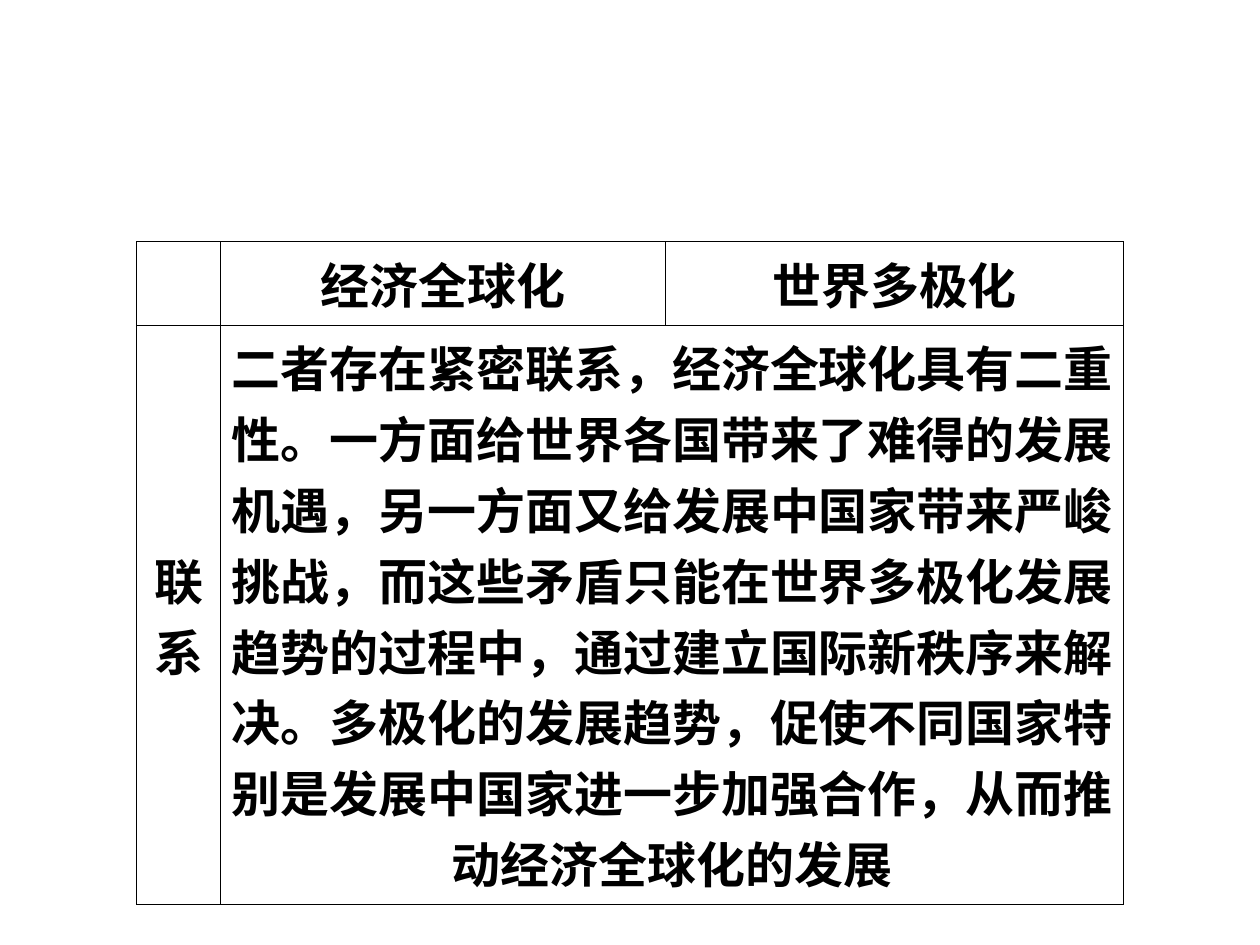
from lxml.etree import SubElement
from pptx import Presentation
from pptx.dml.color import RGBColor
from pptx.enum.text import MSO_ANCHOR, PP_ALIGN
from pptx.oxml.ns import qn
from pptx.util import Pt

FONT = "Noto Sans CJK SC"
BLACK, WHITE = "000000", "FFFFFF"
COLUMN_WIDTHS = [48, 254.2, 262]
ROW_HEIGHTS = [34, 269]
CONTENT = [
    ["", "经济全球化", "世界多极化"],
    ["联系",
     "二者存在紧密联系，经济全球化具有二重性。一方面给世界各国带来了难得的发展机遇，"
     "另一方面又给发展中国家带来严峻挑战，而这些矛盾只能在世界多极化发展趋势的过程中，"
     "通过建立国际新秩序来解决。多极化的发展趋势，促使不同国家特别是发展中国家进一步加强合作，"
     "从而推动经济全球化的发展",
     ""],
]
CELL_FORMAT = {
    "vertical_anchor": MSO_ANCHOR.MIDDLE,
    "margin_left": Pt(5.7), "margin_right": Pt(5.7),
    "margin_top": Pt(3.6), "margin_bottom": Pt(3.6),
}
FONT_FORMAT = {"name": FONT, "size": Pt(28), "bold": True}


def rgb(color):
    return RGBColor.from_string(color)


def add_borders(cell, color, width):
    """Draw all four sides; call before the cell gets its fill."""
    properties = cell._tc.get_or_add_tcPr()
    for side in ("a:lnL", "a:lnR", "a:lnT", "a:lnB"):
        line = SubElement(properties, qn(side), w=str(Pt(width)))
        fill = SubElement(line, qn("a:solidFill"))
        SubElement(fill, qn("a:srgbClr"), val=color)


prs = Presentation()
prs.slide_width, prs.slide_height = Pt(720), Pt(540)
slide = prs.slides.add_slide(prs.slide_layouts[6])

comparison = slide.shapes.add_table(
    len(ROW_HEIGHTS), len(COLUMN_WIDTHS), Pt(78), Pt(138),
    Pt(sum(COLUMN_WIDTHS)), Pt(sum(ROW_HEIGHTS))).table
comparison.first_row = comparison.horz_banding = False
for column, width in zip(comparison.columns, COLUMN_WIDTHS):
    column.width = Pt(width)
for row, height in zip(comparison.rows, ROW_HEIGHTS):
    row.height = Pt(height)
comparison.cell(1, 1).merge(comparison.cell(1, 2))

for r, texts in enumerate(CONTENT):
    for c, text in enumerate(texts):
        cell = comparison.cell(r, c)
        add_borders(cell, BLACK, 0.45)
        cell.fill.solid()
        cell.fill.fore_color.rgb = rgb(WHITE)
        for name, value in CELL_FORMAT.items():
            setattr(cell, name, value)
        if not text:
            continue
        paragraph = cell.text_frame.paragraphs[0]
        paragraph.alignment = PP_ALIGN.CENTER
        run = paragraph.add_run()
        run.text = text
        for name, value in FONT_FORMAT.items():
            setattr(run.font, name, value)
        run.font.color.rgb = rgb(BLACK)
        SubElement(run._r.get_or_add_rPr(), qn("a:ea"), typeface=FONT)

prs.save("out.pptx")
